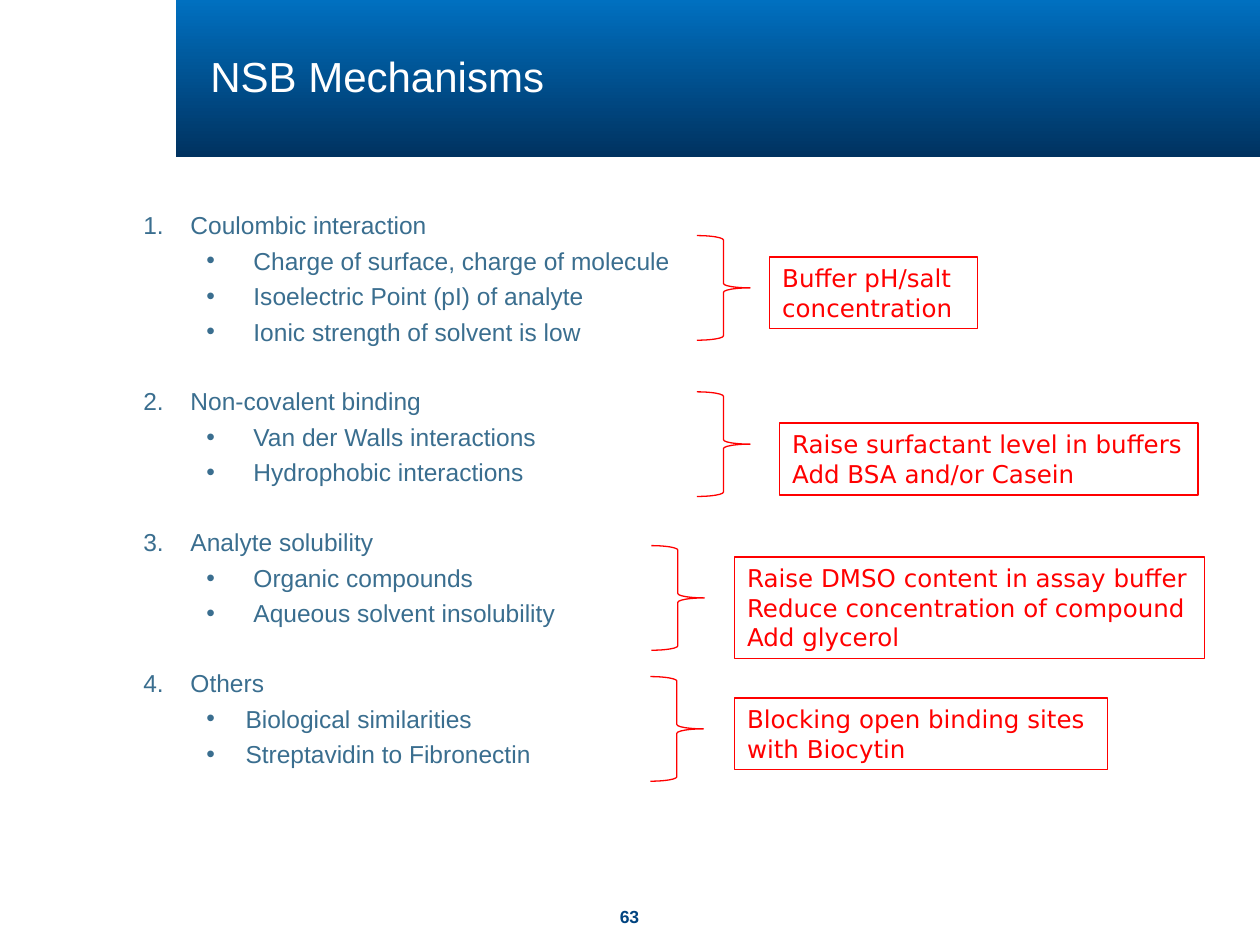
from lxml.etree import SubElement
from pptx import Presentation
from pptx.dml.color import RGBColor
from pptx.enum.shapes import MSO_SHAPE
from pptx.enum.text import MSO_ANCHOR, PP_ALIGN
from pptx.oxml.ns import qn
from pptx.util import Cm, Pt

COLORS = {
    "top": "0070C0",
    "bottom": "003260",
    "title": "FFFFFF",
    "body": "3A6E8F",
    "remedy": "FF0000",
    "number": "004480",
}

MECHANISMS = [
    ("Coulombic interaction", 0.95, [
        "Charge of surface, charge of molecule",
        "Isoelectric Point (pI) of analyte",
        "Ionic strength of solvent is low",
    ]),
    ("Non-covalent binding", 0.95, [
        "Van der Walls interactions",
        "Hydrophobic interactions",
    ]),
    ("Analyte solubility", 0.95, [
        "Organic compounds",
        "Aqueous solvent insolubility",
    ]),
    ("Others", 0.79, [
        "Biological similarities",
        "Streptavidin to Fibronectin",
    ]),
]

REMEDIES = [
    ((14.05, 4.75), (15.52, 5.18), 4.19,
     ["Buffer pH/salt", "concentration"]),
    ((14.05, 7.9), (15.72, 8.53), 8.43,
     ["Raise surfactant level in buffers", "Add BSA and/or Casein"]),
    ((13.13, 11), (14.81, 11.23), 9.47,
     ["Raise DMSO content in assay buffer",
      "Reduce concentration of compound", "Add glycerol"]),
    ((13.11, 13.64), (14.81, 14.07), 7.52,
     ["Blocking open binding sites", "with Biocytin"]),
]

BRACE_SIZE = (1.07, 2.11)
LINE_HEIGHT, BOX_PADDING = 0.6, 0.25
LINE_GAP, SECTION_GAP = 3.5, 23.1
HEADING_INDENT, ITEM_LEFT = 0.95, 1.27


def color(name):
    return RGBColor.from_string(COLORS[name])


def add_span(paragraph, text, size, name, font="Arial", bold=False):
    span = paragraph.add_run()
    span.text = text
    span.font.name = font
    span.font.size = Pt(size)
    span.font.bold = bold
    span.font.color.rgb = color(name)


def add_text_box(page, left, top, width, height, inset=None):
    box = page.shapes.add_textbox(Cm(left), Cm(top), Cm(width), Cm(height))
    frame = box.text_frame
    frame.word_wrap = True
    if inset is not None:
        frame.margin_left = frame.margin_right = Cm(inset)
        frame.margin_top = frame.margin_bottom = Cm(inset)
    return frame


def add_outline(page, kind, position, size):
    shape = page.shapes.add_shape(kind, *map(Cm, position + size))
    shape.shadow.inherit = False
    shape.fill.background()
    shape.line.color.rgb = color("remedy")
    shape.line.width = Pt(0.75)
    return shape


def next_paragraph(frame, index):
    return frame.paragraphs[0] if index == 0 else frame.add_paragraph()


def set_bullet(paragraph, left, hanging, tag, **attributes):
    properties = paragraph._p.get_or_add_pPr()
    properties.set("marL", str(Cm(left)))
    properties.set("indent", str(-Cm(hanging)))
    bullet_color = SubElement(properties, qn("a:buClr"))
    SubElement(bullet_color, qn("a:srgbClr"), val=COLORS["body"])
    SubElement(properties, qn("a:buFont"), typeface="Arial")
    SubElement(properties, qn(tag), **attributes)


def add_banner(page):
    banner = page.shapes.add_shape(
        MSO_SHAPE.RECTANGLE, Cm(3.55), 0, Cm(21.85), Cm(3.17))
    banner.shadow.inherit = False
    banner.line.fill.background()
    banner.fill.gradient()
    banner.fill.gradient_angle = 270
    for stop, name in zip(banner.fill.gradient_stops, ("top", "bottom")):
        stop.color.rgb = color(name)
    frame = add_text_box(page, 4.24, 0.43, 12, 2.36, inset=0)
    frame.vertical_anchor = MSO_ANCHOR.MIDDLE
    frame.paragraphs[0].line_spacing = 0.85
    add_span(frame.paragraphs[0], "NSB Mechanisms", 24, "title")


def add_mechanisms(page):
    frame = add_text_box(page, 2.64, 4.11, 11.86, 11.63)
    for index, (heading, hanging, items) in enumerate(MECHANISMS):
        paragraph = next_paragraph(frame, index)
        set_bullet(paragraph, HEADING_INDENT, HEADING_INDENT, "a:buAutoNum",
                   type="arabicPeriod", startAt=str(index + 1))
        if index:
            paragraph.space_before = Pt(SECTION_GAP)
        add_span(paragraph, heading, 14, "body")
        for item in items:
            paragraph = frame.add_paragraph()
            paragraph.level = 1
            set_bullet(paragraph, ITEM_LEFT + hanging, hanging, "a:buChar", char="•")
            paragraph.space_before = Pt(LINE_GAP)
            add_span(paragraph, item, 14, "body")


def add_remedies(page):
    for brace_position, box_position, width, lines in REMEDIES:
        add_outline(page, MSO_SHAPE.RIGHT_BRACE, brace_position, BRACE_SIZE)
        height = BOX_PADDING + LINE_HEIGHT * len(lines)
        box = add_outline(page, MSO_SHAPE.RECTANGLE, box_position, (width, height))
        frame = box.text_frame
        frame.word_wrap = False
        frame.vertical_anchor = MSO_ANCHOR.TOP
        for index, line in enumerate(lines):
            paragraph = next_paragraph(frame, index)
            paragraph.alignment = PP_ALIGN.LEFT
            add_span(paragraph, line, 14, "remedy", "DejaVu Sans")


def add_page_number(page):
    frame = add_text_box(page, 12.07, 18.26, 1.24, 0.43, inset=0)
    frame.paragraphs[0].alignment = PP_ALIGN.CENTER
    add_span(frame.paragraphs[0], "63", 10, "number", bold=True)


def main():
    deck = Presentation()
    deck.slide_width, deck.slide_height = Cm(25.4), Cm(19.05)
    page = deck.slides.add_slide(deck.slide_layouts[6])
    add_banner(page)
    add_mechanisms(page)
    add_remedies(page)
    add_page_number(page)
    deck.save("out.pptx")


if __name__ == "__main__":
    main()
